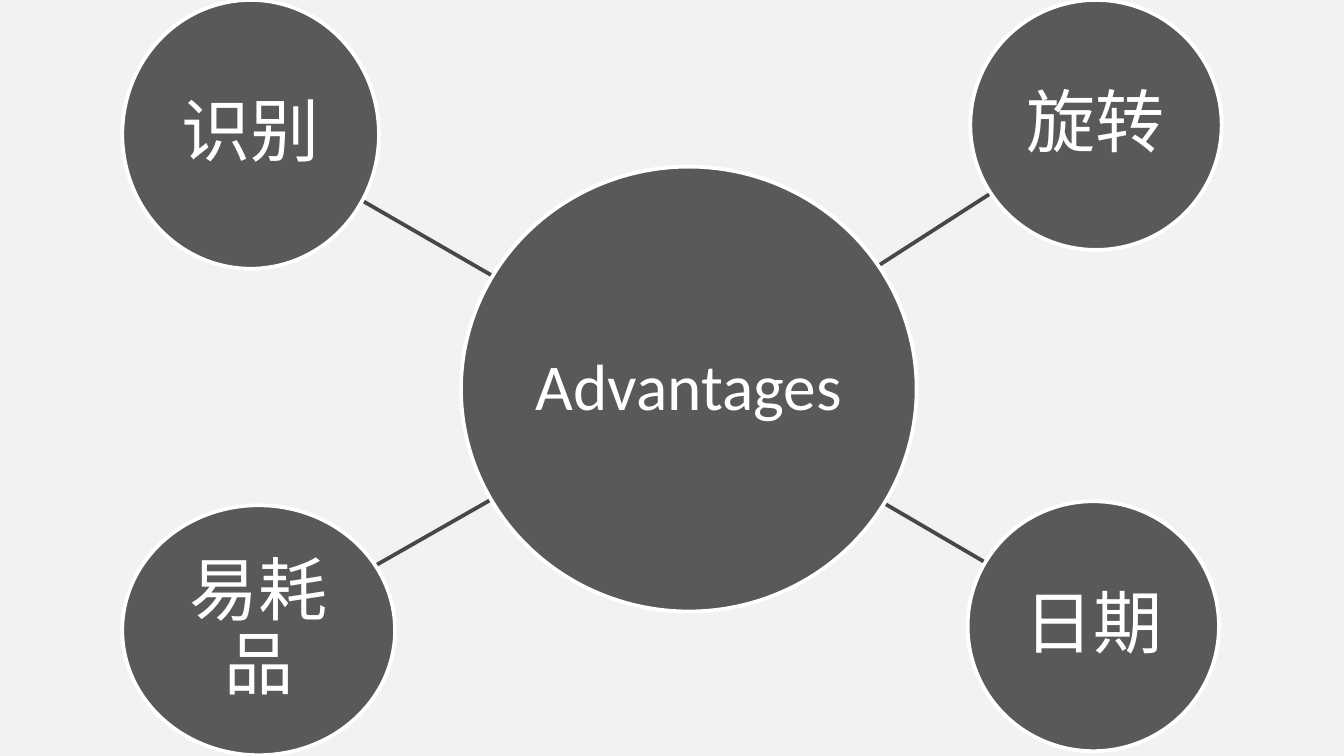
from lxml import etree
from pptx import Presentation
from pptx.dml.color import RGBColor
from pptx.enum.shapes import MSO_CONNECTOR, MSO_SHAPE
from pptx.enum.text import MSO_ANCHOR, PP_ALIGN
from pptx.oxml.ns import qn
from pptx.util import Inches, Pt


def rgb(value):
    return RGBColor.from_string(value)


def write(shape, text, *, size, inset, color="FFFFFF", font="Calibri"):
    frame = shape.text_frame
    frame.word_wrap = True
    frame.vertical_anchor = MSO_ANCHOR.MIDDLE
    frame.margin_left = frame.margin_right = Inches(inset)
    frame.margin_top = frame.margin_bottom = Inches(inset)
    paragraph = frame.paragraphs[0]
    paragraph.alignment = PP_ALIGN.CENTER
    paragraph.line_spacing = 0.9
    run = paragraph.add_run()
    run.text = text
    run.font.size = Pt(size)
    run.font.name = font
    run.font.color.rgb = rgb(color)


prs = Presentation()
prs.slide_width = Inches(10)
prs.slide_height = Inches(10 * 9 / 16)
slide = prs.slides.add_slide(prs.slide_layouts[6])
slide.background.fill.solid()
slide.background.fill.fore_color.rgb = rgb("F2F2F2")

# Spokes from the hub to each advantage: x1, y1, x2, y2
spokes = [
    (3.66, 2.05, 2.69, 1.49),
    (6.53, 1.98, 7.37, 1.44),
    (6.57, 3.74, 7.34, 4.19),
    (3.65, 3.72, 2.79, 4.21),
]
for ends in spokes:
    spoke = slide.shapes.add_connector(MSO_CONNECTOR.STRAIGHT, *map(Inches, ends))
    spoke.line.color.rgb = rgb("474747")
    spoke.line.width = Pt(2)
    etree.SubElement(spoke._element.spPr, qn("a:effectLst"))

# Hub first, then the advantages: text, size, inset, (left, top, width, height)
circles = [
    ("Advantages", 35, 0.02, (3.43, 1.24, 3.39, 3.31)),
    ("识别", 37, 0.03, (0.91, 0, 1.91, 2)),
    ("旋转", 37, 0.03, (7.22, 0, 1.87, 1.86)),
    ("日期", 37, 0.03, (7.2, 3.73, 1.87, 1.86)),
    ("易耗品", 37, 0.03, (0.91, 3.76, 2.03, 1.86)),
]
for label, size, inset, place in circles:
    circle = slide.shapes.add_shape(MSO_SHAPE.OVAL, *map(Inches, place))
    circle.shadow.inherit = False
    circle.fill.solid()
    circle.fill.fore_color.rgb = rgb("595959")
    circle.line.color.rgb = rgb("FFFFFF")
    circle.line.width = Pt(2)
    write(circle, label, size=size, inset=inset)

prs.save("out.pptx")
